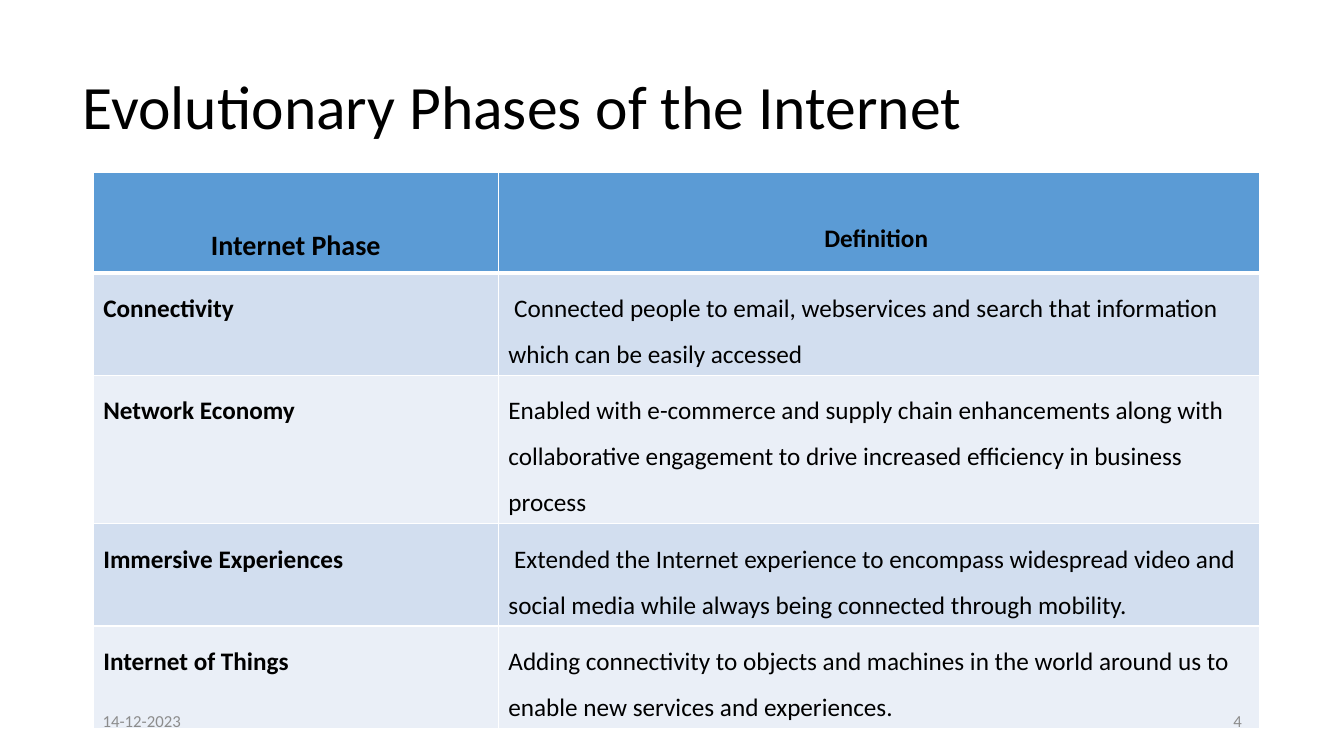
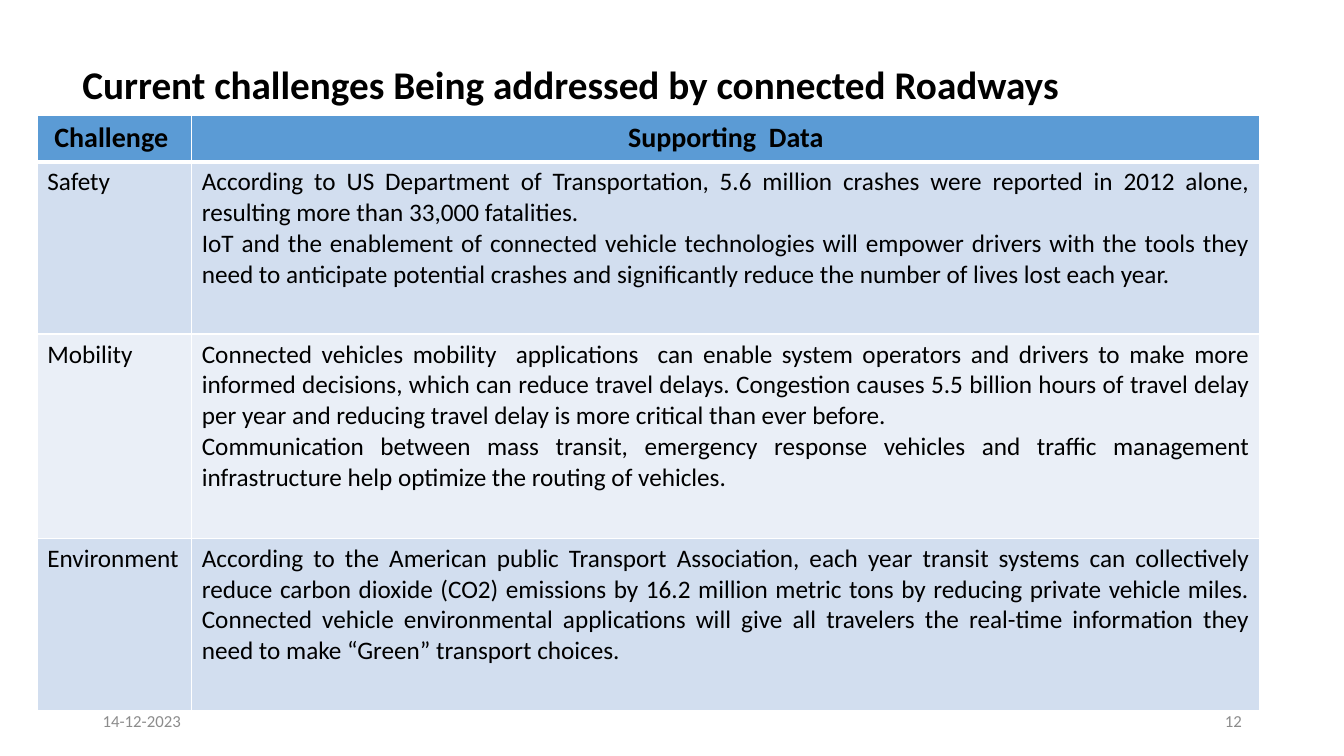
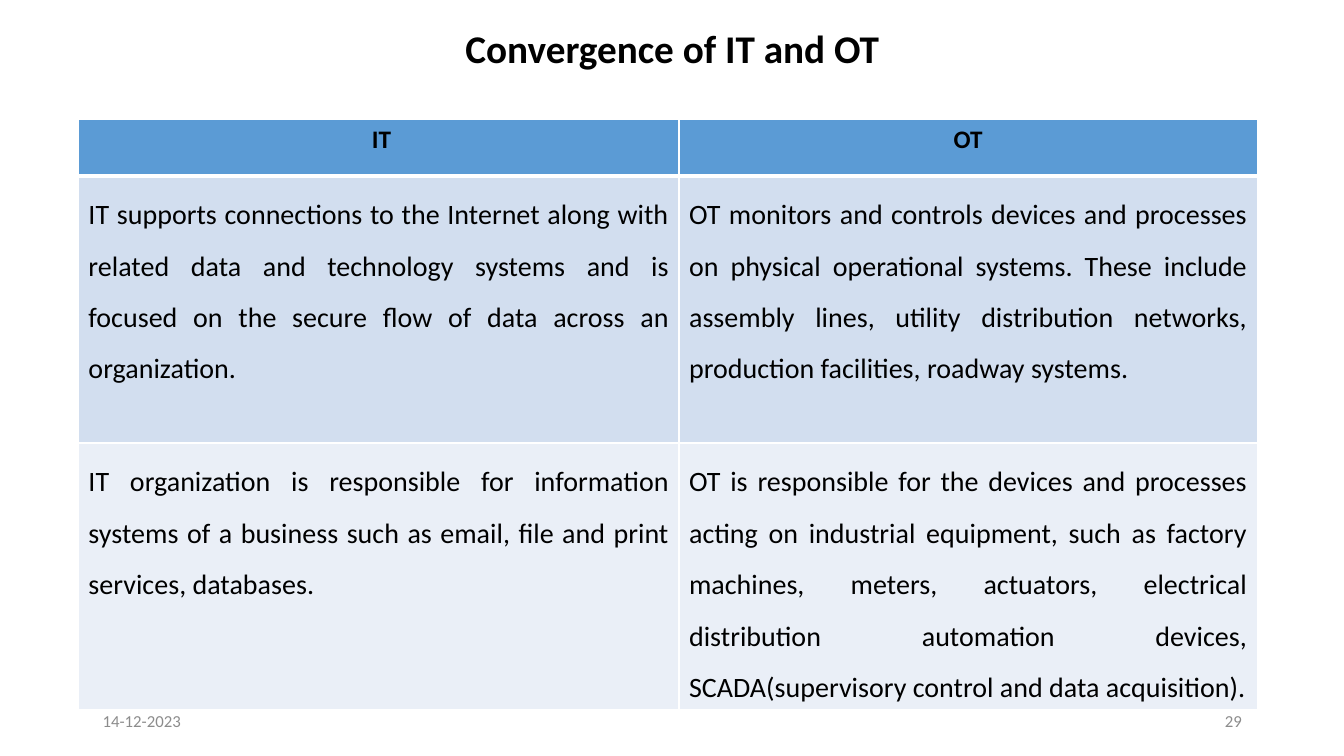
"""Build three table slides on the Internet of Things."""
from dataclasses import dataclass

from lxml import etree
from pptx import Presentation
from pptx import util as u
from pptx.dml import color
from pptx.enum import text
from pptx.oxml import ns

LEFT, CENTER, RIGHT, JUSTIFY = (
    text.PP_ALIGN.LEFT, text.PP_ALIGN.CENTER, text.PP_ALIGN.RIGHT, text.PP_ALIGN.JUSTIFY)


@dataclass(frozen=True)
class Theme:
    """Colours, type sizes and rules shared by the slides."""

    font: str = "Calibri"
    ink: str = "000000"
    muted: str = "8C8C8C"
    header: str = "5B9BD5"
    bands: tuple = ("D2DEEF", "EAEFF7")
    rule: str = "FFFFFF"
    thin: float = 1
    thick: float = 3
    title: int = 28
    large_title: int = 44
    note: int = 12
    body: int = 18
    large_body: int = 20
    title_spacing: float = 0.9
    open_spacing: float = 1.5
    line_height: float = 1.22
    inset: float = 3.6


THEME = Theme()


@dataclass(frozen=True)
class TableLook:
    """Type settings of one table."""

    header_sizes: tuple
    body_size: int
    alignments: tuple
    header_spacing: float = 1.0
    body_spacing: float = 1.0
    first_bold: bool = False
    header_drop: bool = False


def write_paragraphs(frame, lines, size, alignment=LEFT, bold=False, spacing=1.0, ink=THEME.ink):
    """Write each line as one paragraph with a single run."""
    for index, line in enumerate(lines):
        paragraph = frame.add_paragraph() if index else frame.paragraphs[0]
        paragraph.alignment = alignment
        paragraph.line_spacing = spacing
        run = paragraph.add_run()
        run.text = line
        run.font.name = THEME.font
        run.font.size = u.Pt(size)
        run.font.bold = bold
        run.font.color.rgb = color.RGBColor.from_string(ink)


def text_region(slide, box, line, size, **style):
    """Place one vertically centred line of text in a box."""
    frame = slide.shapes.add_textbox(*map(u.Pt, box)).text_frame
    frame.word_wrap = True
    frame.vertical_anchor = text.MSO_ANCHOR.MIDDLE
    write_paragraphs(frame, [line], size, **style)


def footer_region(slide, box, number):
    """Place the date at the left and the slide number at the right of a box."""
    left, top, width, height = box
    part = 216
    for offset, line, alignment in ((0, "14-12-2023", LEFT), (width - part, number, RIGHT)):
        text_region(slide, (left + offset, top, part, height), line, THEME.note,
                    alignment=alignment, ink=THEME.muted)


def set_borders(cell, top, bottom):
    """Draw the four rules of a cell."""
    properties = cell._tc.get_or_add_tcPr()
    widths = {"lnL": THEME.thin, "lnR": THEME.thin, "lnT": top, "lnB": bottom}
    for tag, width in widths.items():
        line = etree.SubElement(properties, ns.qn(f"a:{tag}"), w=str(int(u.Pt(width))))
        fill = etree.SubElement(line, ns.qn("a:solidFill"))
        etree.SubElement(fill, ns.qn("a:srgbClr"), val=THEME.rule)


def table_region(slide, origin, columns, heights, rows, look):
    """Place a table with a header row and banded body rows."""
    size = (sum(columns), sum(heights))
    table = slide.shapes.add_table(len(rows), len(columns), *map(u.Pt, (*origin, *size))).table
    for column, width in zip(table.columns, columns):
        column.width = u.Pt(width)
    for row_index, (row, height) in enumerate(zip(rows, heights)):
        table.rows[row_index].height = u.Pt(height)
        is_header = row_index == 0
        for column_index, lines in enumerate(row):
            cell = table.cell(row_index, column_index)
            set_borders(cell, THEME.thick if row_index == 1 else THEME.thin,
                        THEME.thick if is_header else THEME.thin)
            cell.fill.solid()
            fill = THEME.header if is_header else THEME.bands[(row_index - 1) % 2]
            cell.fill.fore_color.rgb = color.RGBColor.from_string(fill)
            if is_header:
                points = look.header_sizes[column_index]
                if look.header_drop:
                    cell.margin_top = u.Pt(THEME.inset + THEME.line_height * points)
                write_paragraphs(cell.text_frame, lines, points, CENTER, True, look.header_spacing)
            else:
                write_paragraphs(cell.text_frame, lines, look.body_size,
                                 look.alignments[column_index],
                                 look.first_bold and column_index == 0, look.body_spacing)


def table_slide(presentation, title, title_box, title_style, number, **table):
    """Add a slide with a title, a table and the footer."""
    slide = presentation.slides.add_slide(presentation.slide_layouts[6])
    text_region(slide, title_box, title, spacing=THEME.title_spacing, **title_style)
    table_region(slide, **table)
    footer_region(slide, (66.2, 500.4, 828, 28.8), number)


PHASES = [
    (["Internet Phase"], ["Definition "]),
    (["Connectivity"],
     [" Connected people to email, webservices and search that information which can be easily "
      "accessed"]),
    (["Network Economy"],
     ["Enabled with e-commerce and supply chain enhancements along with collaborative engagement "
      "to drive increased efficiency in business process"]),
    (["Immersive Experiences"],
     [" Extended the Internet experience to encompass widespread video and social media while "
      "always being connected through mobility."]),
    (["Internet of Things"],
     ["Adding connectivity to objects and machines in the world around us to enable new services "
      "and experiences."]),
]

CHALLENGES = [
    (["Challenge "], ["Supporting  Data"]),
    (["Safety"],
     ["According to US Department of Transportation, 5.6 million crashes were reported in 2012 "
      "alone, resulting more than 33,000 fatalities.",
      "IoT and the enablement of connected vehicle technologies will empower drivers with the "
      "tools they need to anticipate potential crashes and significantly reduce the number of "
      "lives lost each year."]),
    (["Mobility"],
     ["Connected vehicles mobility  applications  can enable system operators and drivers to make "
      "more informed decisions, which can reduce travel delays. Congestion causes 5.5 billion "
      "hours of travel delay per year and reducing travel delay is more critical than ever "
      "before.",
      "Communication between mass transit, emergency response vehicles and traffic management "
      "infrastructure help optimize the routing of vehicles."]),
    (["Environment"],
     ["According to the American public Transport Association, each year transit systems can "
      "collectively reduce carbon dioxide (CO2) emissions by 16.2 million metric tons by reducing "
      "private vehicle miles. Connected vehicle environmental applications will give all "
      "travelers the real-time information they need to make “Green” transport choices."]),
]

CONVERGENCE = [
    ([" IT"], ["OT"]),
    (["IT supports connections to the Internet along with related data and technology systems and "
      "is focused on the secure flow of data across an organization."],
     ["OT monitors and controls devices and processes on physical operational systems. These "
      "include assembly lines, utility distribution networks, production facilities, roadway "
      "systems."]),
    (["IT organization is responsible for information systems of a business such as email, file "
      "and print services, databases."],
     ["OT is responsible for the devices and processes acting on industrial equipment, such as "
      "factory machines, meters, actuators, electrical distribution automation devices, "
      "SCADA(supervisory control and data acquisition)."]),
]


def main():
    """Build and save the presentation."""
    presentation = Presentation()
    presentation.slide_width, presentation.slide_height = u.Pt(960), u.Pt(540)
    table_slide(
        presentation, "Evolutionary Phases of the Internet", (51.8, 39.2, 848.2, 78.5),
        {"size": THEME.large_title}, "4",
        origin=(66.6, 123.1), columns=(289.4, 543.8), heights=(72, 73, 106, 73, 73), rows=PHASES,
        look=TableLook((THEME.large_body, THEME.body), THEME.body, (LEFT, LEFT),
                       THEME.open_spacing, THEME.open_spacing, True, True))
    table_slide(
        presentation, "Current challenges Being addressed by connected Roadways",
        (51.8, 39.6, 848.2, 45.4), {"size": THEME.title, "bold": True}, "12",
        origin=(26.6, 82.6), columns=(110.4, 763), heights=(33, 123, 146, 123), rows=CHALLENGES,
        look=TableLook((THEME.large_body,) * 2, THEME.body, (LEFT, JUSTIFY)))
    table_slide(
        presentation, "Convergence of IT and OT", (56, 5.8, 848.2, 60.5),
        {"size": THEME.title, "bold": True, "alignment": CENTER}, "29",
        origin=(56, 85.3), columns=(429, 413), heights=(40.3, 190.8, 190.8),
        rows=CONVERGENCE,
        look=TableLook((THEME.body,) * 2, THEME.large_body, (JUSTIFY, JUSTIFY),
                       body_spacing=THEME.open_spacing))
    presentation.save("out.pptx")


if __name__ == "__main__":
    main()
